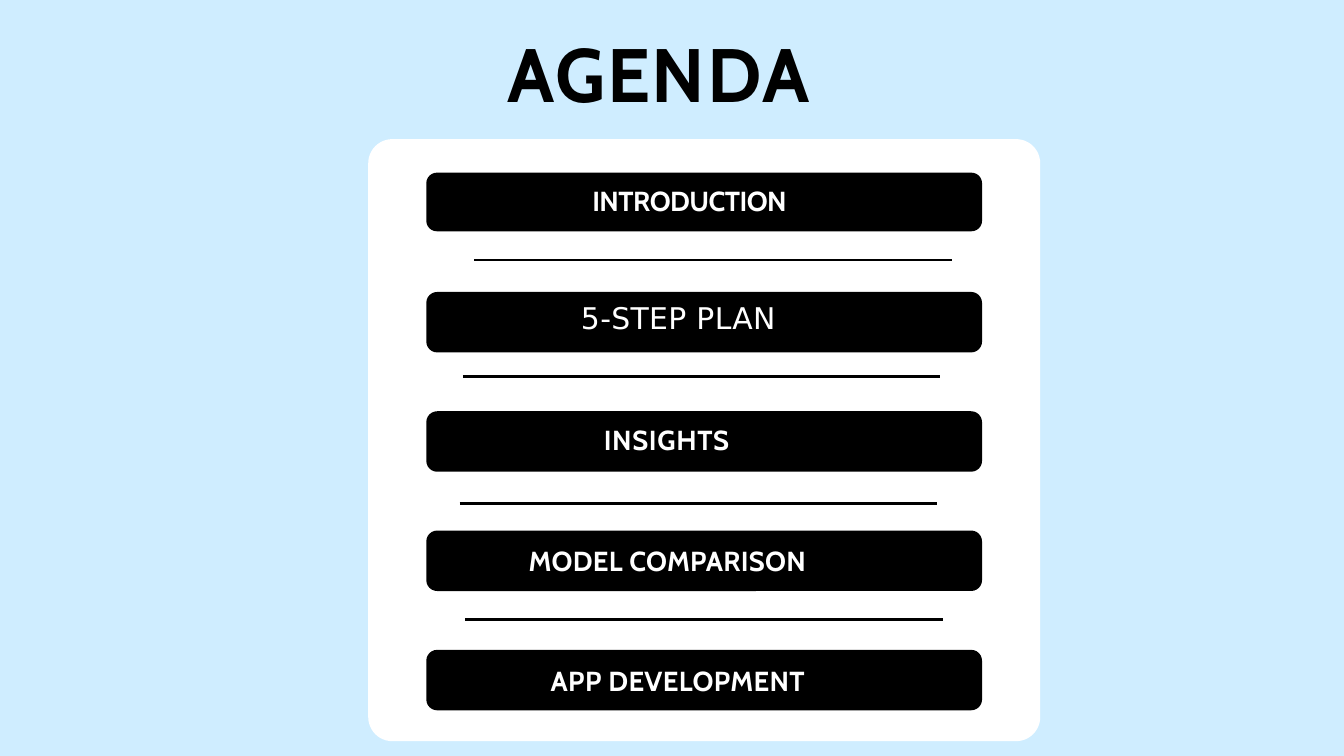
"""Build the agenda slide: a title over a card of five bars with rules between."""
import dataclasses

import pptx
import pptx.dml.color
import pptx.enum.shapes
import pptx.enum.text
import pptx.oxml.ns
import pptx.util
from lxml import etree

WIDE, HIGH = 20, 11.25
BLACK, WHITE, SKY = "000000", "FFFFFF", "CFEDFF"
LEFT, TOP, SPAN, STEP = 31.72, 22.84, 41.35, 15.78
RULE = 35.52
ROUND = pptx.enum.shapes.MSO_SHAPE.ROUNDED_RECTANGLE
PLAIN = pptx.enum.shapes.MSO_SHAPE.RECTANGLE


@dataclasses.dataclass
class Bar:
    """One agenda entry, with its text indent in columns and lift in rows."""
    text: str
    indent: float
    space: float
    lift: float = 0
    tall: float = 8
    font: str = "Cabin"
    size: float = 29.5
    bold: bool = True


@dataclasses.dataclass
class Rule:
    """One line between bars, placed by column and row."""
    col: float
    row: float


BARS = [
    Bar("INTRODUCTION", 12.12, -0.6, lift=0.3, tall=7.75),
    Bar("5-STEP PLAN", 11.27, 0.35, lift=1.3, font="DejaVu Sans", size=32, bold=False),
    Bar("INSIGHTS", 12.97, 0.7, lift=0.5),
    Bar("MODEL COMPARISON", 7.37, 0.3),
    Bar("APP DEVELOPMENT", 9.02, 0.4),
]
RULES = [Rule(35.3, 34.4), Rule(34.45, 49.78), Rule(34.2, 66.55), Rule(34.63, 81.96)]


def cols(count: float) -> int:
    """Turn hundredths of the slide width into a length."""
    return pptx.util.Inches(WIDE * count / 100)


def rows(count: float) -> int:
    """Turn hundredths of the slide height into a length."""
    return pptx.util.Inches(HIGH * count / 100)


def paint(fill, tone: str) -> None:
    """Give a fill one solid colour."""
    fill.solid()
    fill.fore_color.rgb = pptx.dml.color.RGBColor.from_string(tone)


def write(shape, text: str, font: str, size: float, bold: bool, tone: str, space: float) -> None:
    """Set left-aligned, middle-anchored text in a shape."""
    frame = shape.text_frame
    frame.text = text
    frame.word_wrap = True
    frame.auto_size = pptx.enum.text.MSO_AUTO_SIZE.NONE
    frame.vertical_anchor = pptx.enum.text.MSO_ANCHOR.MIDDLE
    frame.margin_left = frame.margin_right = frame.margin_top = frame.margin_bottom = 0
    line = frame.paragraphs[0]
    line.alignment = pptx.enum.text.PP_ALIGN.LEFT
    for run in line.runs:
        run.font.name, run.font.size, run.font.bold = font, pptx.util.Pt(size), bold
        paint(run.font.fill, tone)
        run._r.get_or_add_rPr().set("spc", str(round(space * 100)))


def add_box(slide, kind, left: float, top: float, span: float, tall: float, tone: str):
    """Draw a plain box on the grid."""
    box = slide.shapes.add_shape(kind, cols(left), rows(top), cols(span), rows(tall))
    box.shadow.inherit = False
    box.line.fill.background()
    paint(box.fill, tone)
    return box


def add_bar(slide, bar: Bar, top: float) -> None:
    """Draw one black bar with its label."""
    box = add_box(slide, ROUND, LEFT, top, SPAN, bar.tall, BLACK)
    box.adjustments[0] = 0.18
    write(box, bar.text, bar.font, bar.size, bar.bold, WHITE, bar.space)
    box.text_frame.margin_left = cols(bar.indent)
    box.text_frame.margin_bottom = rows(bar.lift)


def add_rule(slide, rule: Rule) -> None:
    """Draw one level line."""
    kind = pptx.enum.shapes.MSO_CONNECTOR.STRAIGHT
    line = slide.shapes.add_connector(
        kind, cols(rule.col), rows(rule.row), cols(rule.col + RULE), rows(rule.row))
    line.line.width = pptx.util.Pt(3)
    paint(line.line.fill, BLACK)
    etree.SubElement(line._element.spPr, pptx.oxml.ns.qn("a:effectLst"))


def main() -> None:
    """Build and save the slide."""
    deck = pptx.Presentation()
    deck.slide_width, deck.slide_height = cols(100), rows(100)
    slide = deck.slides.add_slide(deck.slide_layouts[5])
    title = slide.shapes.title
    title.left, title.top, title.width, title.height = cols(37.75), rows(3.4), cols(24.55), rows(12.27)
    write(title, "AGENDA", "Cabin", 81, True, BLACK, 1.9)
    back = add_box(slide, PLAIN, 0, 0, 100, 100, SKY)
    title._element.addprevious(back._element)
    card = add_box(slide, ROUND, 27.4, 18.4, 50, 79.64, WHITE)
    card.adjustments[0] = 0.04
    for index, bar in enumerate(BARS):
        add_bar(slide, bar, TOP + STEP * index)
    for rule in RULES:
        add_rule(slide, rule)
    deck.save("out.pptx")


if __name__ == "__main__":
    main()
